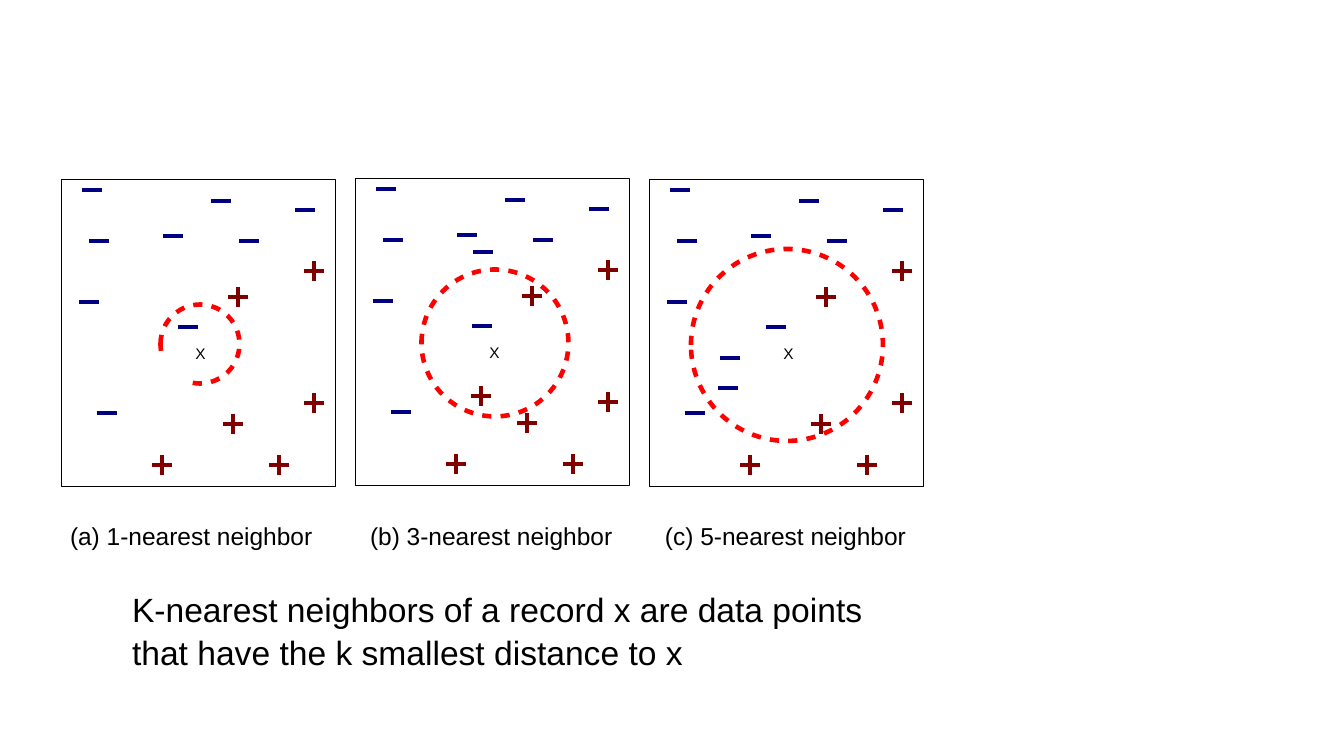
import pptx
import pptx.dml.color
import pptx.enum.shapes
import pptx.enum.text
import pptx.oxml.ns
import pptx.util
from lxml import etree

# Content: positions in px, marks measured from their panel's corner
SLIDE_SIZE = (1344, 756)
PANEL_SIZE = (274, 307)
PANEL_LEFT, PANEL_STEP = 61, 294
RECORD_LABEL, RECORD_LABEL_TOP, RECORD_LABEL_SHIFT = "X", 165, 5
MARK = 20

SHARED_MINUSES = [(31, 11), (160, 22), (244, 31), (38, 62), (112, 57),
                  (188, 62), (28, 123), (127, 148), (46, 234)]
SHARED_PLUSES = [(253, 92), (177, 118), (253, 224), (172, 245),
                 (101, 286), (218, 286)]

# Arcs are (start degrees, end degrees, dashed); no arcs means a full circle
PANELS = [
    {"caption": "(a) 1-nearest neighbor", "top": 179, "center": (139, 165),
     "diameter": 79, "arcs": [(170, 180, False), (180, 103, True)],
     "minuses": [], "pluses": []},
    {"caption": "(b) 3-nearest neighbor", "top": 178, "center": (140, 165),
     "diameter": 147, "arcs": [], "minuses": [(128, 74)], "pluses": [(126, 218)]},
    {"caption": "(c) 5-nearest neighbor", "top": 179, "center": (138, 166),
     "diameter": 192, "arcs": [], "minuses": [(81, 179), (79, 209)], "pluses": []},
]
SENTENCE = ("K-nearest neighbors of a record x are data points "
            "that have the k smallest distance to x")
TEXT_BOX = (69, 521, 854, 146)
CAPTION_INDENT, CAPTION_TABS = 1, (300, 595)
SENTENCE_INDENT, SENTENCE_RIGHT = 63, 50

THEME = {
    "font": "Arial", "text": "000000", "frame": "000000",
    "minus": "000080", "plus": "800000", "circle": "FF0000",
    "label_size": 11, "caption_size": 17.5, "sentence_size": 24,
    "frame_width": 0.25, "mark_width": 3.28,
}
PX = 914400 / 100.8


def px(value):
    return round(value * PX)


def box(*lengths):
    return [px(length) for length in lengths]


def set_values(target, values):
    for name, value in values.items():
        setattr(target, name, value)


def set_line(shape, color, width):
    shape.line.color.rgb = pptx.dml.color.RGBColor.from_string(THEME[color])
    shape.line.width = pptx.util.Pt(THEME[width])


def outline(shape, color, width):
    shape.shadow.inherit = False
    shape.fill.background()
    set_line(shape, color, width)


def dash(shape):
    dashes = etree.SubElement(shape.line._get_or_add_ln(),
                              pptx.oxml.ns.qn("a:custDash"))
    etree.SubElement(dashes, pptx.oxml.ns.qn("a:ds"), d="200000", sp="200000")


def write(paragraph, text, size):
    run = paragraph.add_run()
    run.text = text
    set_values(run.font, {"name": THEME["font"], "size": pptx.util.Pt(THEME[size])})
    run.font.color.rgb = pptx.dml.color.RGBColor.from_string(THEME["text"])


def prepare_frame(frame, top=0, left=0):
    set_values(frame, {
        "word_wrap": True, "margin_left": px(left), "margin_right": 0,
        "margin_top": px(top), "margin_bottom": 0,
        "vertical_anchor": pptx.enum.text.MSO_ANCHOR.TOP})


def add_panel(shapes, left, top):
    panel = shapes.add_shape(pptx.enum.shapes.MSO_SHAPE.RECTANGLE,
                             *box(left, top, *PANEL_SIZE))
    outline(panel, "frame", "frame_width")
    prepare_frame(panel.text_frame, RECORD_LABEL_TOP, RECORD_LABEL_SHIFT)
    paragraph = panel.text_frame.paragraphs[0]
    paragraph.alignment = pptx.enum.text.PP_ALIGN.CENTER
    write(paragraph, RECORD_LABEL, "label_size")


def add_minus(shapes, x, y):
    minus = shapes.add_connector(pptx.enum.shapes.MSO_CONNECTOR.STRAIGHT,
                                 *box(x - MARK / 2, y, x + MARK / 2, y))
    set_line(minus, "minus", "mark_width")
    etree.SubElement(minus._element.spPr, pptx.oxml.ns.qn("a:effectLst"))


def add_plus(shapes, x, y):
    half = MARK / 2
    builder = shapes.build_freeform(x - half, y, scale=PX)
    builder.add_line_segments([(x + half, y)], close=False)
    builder.move_to(x, y - half)
    builder.add_line_segments([(x, y + half)], close=False)
    outline(builder.convert_to_shape(), "plus", "mark_width")


def add_neighborhood(shapes, x, y, diameter, arcs):
    bounds = box(x - diameter / 2, y - diameter / 2, diameter, diameter)
    if not arcs:
        circle = shapes.add_shape(pptx.enum.shapes.MSO_SHAPE.OVAL, *bounds)
        outline(circle, "circle", "mark_width")
        dash(circle)
    for start, end, dashed in arcs:
        arc = shapes.add_shape(pptx.enum.shapes.MSO_SHAPE.ARC, *bounds)
        for index, degrees in enumerate((start, end)):
            arc.adjustments[index] = degrees * 0.6
        outline(arc, "circle", "mark_width")
        if dashed:
            dash(arc)


def add_text(shapes):
    frame = shapes.add_textbox(*box(*TEXT_BOX)).text_frame
    prepare_frame(frame)

    # Captions share one line, spread by tab stops
    captions = frame.paragraphs[0]
    properties = captions._p.get_or_add_pPr()
    properties.set("marL", str(px(CAPTION_INDENT)))
    stops = etree.SubElement(properties, pptx.oxml.ns.qn("a:tabLst"))
    for position in CAPTION_TABS:
        etree.SubElement(stops, pptx.oxml.ns.qn("a:tab"),
                         pos=str(px(position)), algn="l")
    write(captions, "\t".join(panel["caption"] for panel in PANELS), "caption_size")

    # Definition below the captions
    sentence = frame.add_paragraph()
    set_values(sentence, {"space_before": pptx.util.Pt(26), "line_spacing": 1.06})
    properties = sentence._p.get_or_add_pPr()
    properties.set("marL", str(px(SENTENCE_INDENT)))
    properties.set("marR", str(px(SENTENCE_RIGHT)))
    write(sentence, SENTENCE, "sentence_size")


def main():
    presentation = pptx.Presentation()
    presentation.slide_width, presentation.slide_height = box(*SLIDE_SIZE)
    slide = presentation.slides.add_slide(presentation.slide_layouts[6])
    shapes = slide.shapes

    # Panels with their neighborhoods and data points
    for index, panel in enumerate(PANELS):
        left, top = PANEL_LEFT + index * PANEL_STEP, panel["top"]
        add_panel(shapes, left, top)
        x, y = panel["center"]
        add_neighborhood(shapes, left + x, top + y, panel["diameter"], panel["arcs"])
        for x, y in SHARED_MINUSES + panel["minuses"]:
            add_minus(shapes, left + x, top + y)
        for x, y in SHARED_PLUSES + panel["pluses"]:
            add_plus(shapes, left + x, top + y)

    add_text(shapes)
    presentation.save("out.pptx")


if __name__ == "__main__":
    main()
